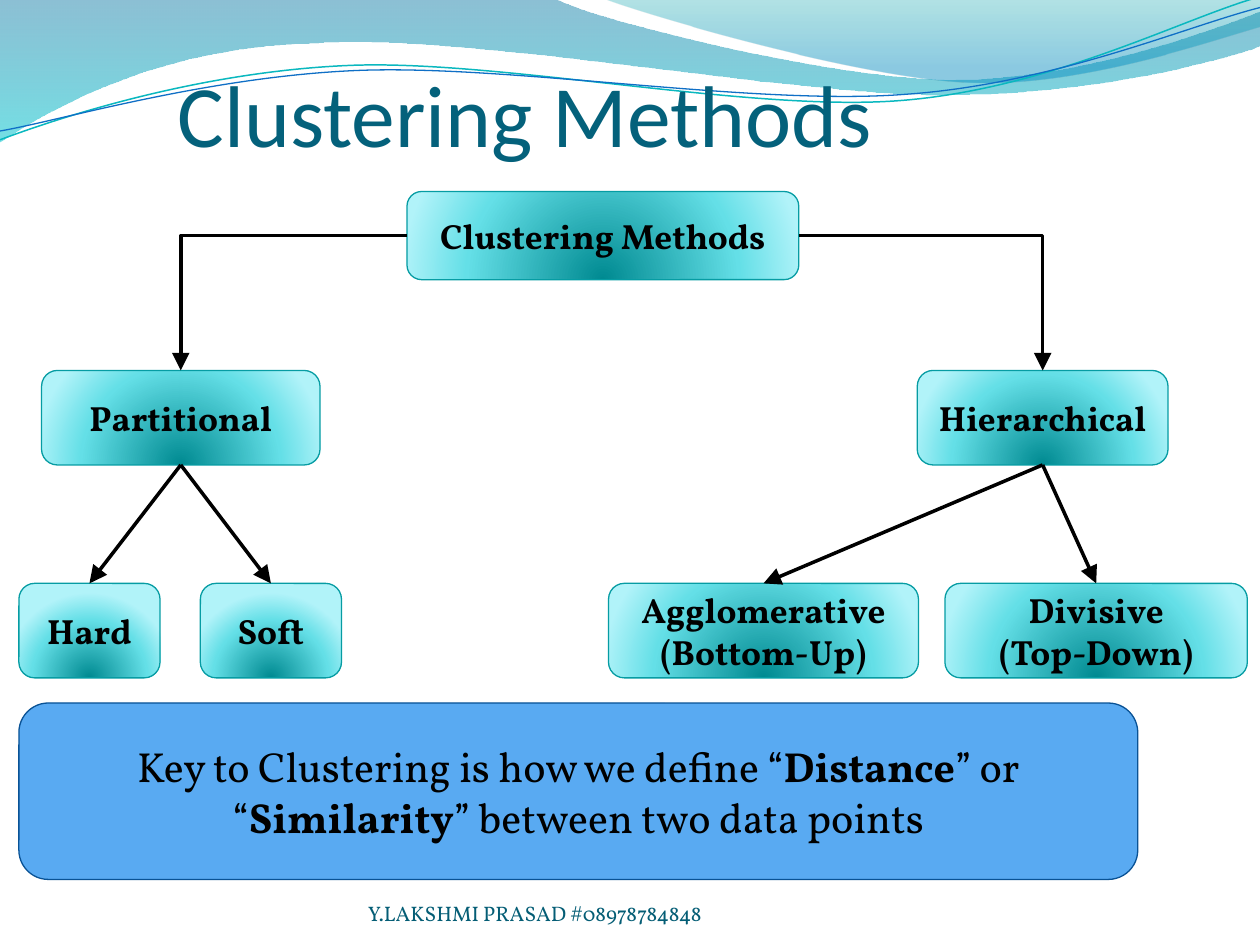
from lxml.etree import SubElement
from pptx import Presentation
from pptx.dml.color import RGBColor
from pptx.enum.shapes import MSO_CONNECTOR as Connector, MSO_SHAPE as Shape
from pptx.enum.text import MSO_ANCHOR as Anchor, PP_ALIGN as Align
from pptx.oxml import parse_xml
from pptx.oxml.ns import nsdecls, qn
from pptx.util import Inches, Pt

TOP, LEFT, BOTTOM, RIGHT = range(4)
RADIAL = '<a:path path="circle"><a:fillToRect l="50000" t="130000" r="50000" b="-30000"/></a:path>'
DOWNWARD = '<a:lin ang="5400000" scaled="0"/>'


def color(hex_string):
    return RGBColor.from_string(hex_string)


def set_gradient(shape, stops, direction):
    """Fill with (position %, colour, opacity %) stops."""
    stop_xml = "".join(
        f'<a:gs pos="{position * 1000}"><a:srgbClr val="{tone}">'
        f'<a:alpha val="{opacity * 1000}"/></a:srgbClr></a:gs>'
        for position, tone, opacity in stops)
    gradient = parse_xml(f'<a:gradFill {nsdecls("a")} rotWithShape="1">'
                         f'<a:gsLst>{stop_xml}</a:gsLst>{direction}</a:gradFill>')
    shape.fill.background()
    properties = shape._element.spPr
    properties.replace(properties.find(qn("a:noFill")), gradient)


class ClusteringSlide:
    font = "Vollkorn"
    ink = "000000"
    box_stops = [(0, "008A91", 100), (68, "64DFE7", 100), (100, "B1F3F9", 100)]

    def __init__(self, slide):
        self.slide = slide
        self.shapes = slide.shapes

    def outline(self, start, segments, close):
        """Join cubic curves (6 numbers) and straight lines (2 numbers)."""
        corners = [(Inches(x), Inches(y))
                   for x, y in [start] + [segment[-2:] for segment in segments]]
        builder = self.shapes.build_freeform(*corners[0])
        builder.add_line_segments(corners[1:], close=close)
        shape = builder.convert_to_shape()
        shape.shadow.inherit = False
        lines = list(shape._element.spPr.iter(qn("a:lnTo")))
        for line, segment in zip(lines, segments):
            if len(segment) == 6:
                line.tag = qn("a:cubicBezTo")
                handles = [SubElement(line, qn("a:pt")) for _ in range(2)]
                for index, handle in enumerate(handles):
                    x, y = segment[2 * index:2 * index + 2]
                    handle.set("x", str(Inches(x) - shape.left))
                    handle.set("y", str(Inches(y) - shape.top))
                line.append(line[0])
        return shape

    def band(self, start, segments, stops):
        shape = self.outline(start, segments, close=True)
        set_gradient(shape, stops, DOWNWARD)
        shape.line.fill.background()

    def wave(self, start, segments, tone, width):
        shape = self.outline(start, segments, close=False)
        shape.fill.background()
        shape.line.color.rgb = color(tone)
        shape.line.width = Pt(width)

    def style_run(self, run, size, tone, bold=False, font=None):
        run.font.name = font or self.font
        run.font.size = Pt(size)
        run.font.bold = bold
        run.font.color.rgb = color(tone)

    def text(self, text, place, size, tone, font=None, top_inset=0):
        frame = self.shapes.add_textbox(*map(Inches, place)).text_frame
        frame.word_wrap = True
        frame.vertical_anchor = Anchor.BOTTOM
        frame.margin_left = frame.margin_right = frame.margin_bottom = 0
        frame.margin_top = Inches(top_inset)
        frame.text = text
        self.style_run(frame.paragraphs[0].runs[0], size, tone, font=font)

    def panel(self, place, line_tone):
        shape = self.shapes.add_shape(Shape.ROUNDED_RECTANGLE, *map(Inches, place))
        shape.shadow.inherit = False
        shape.line.color.rgb = color(line_tone)
        shape.line.width = Pt(0.75)
        shape.text_frame.word_wrap = True
        shape.text_frame.vertical_anchor = Anchor.MIDDLE
        return shape

    def box(self, text, left, top, width, height=0.75):
        shape = self.panel((left, top, width, height), "069CA3")
        set_gradient(shape, self.box_stops, RADIAL)
        shape.text_frame.text = text
        for paragraph in shape.text_frame.paragraphs:
            paragraph.alignment = Align.CENTER
            self.style_run(paragraph.runs[0], 20, self.ink, bold=True)
        return shape

    def note(self, pieces, place):
        """A flat panel whose text is (words, bold) pieces."""
        shape = self.panel(place, "095295")
        shape.fill.solid()
        shape.fill.fore_color.rgb = color("59AAF2")
        paragraph = shape.text_frame.paragraphs[0]
        paragraph.alignment = Align.CENTER
        for words, bold in pieces:
            run = paragraph.add_run()
            run.text = words
            self.style_run(run, 24, self.ink, bold)

    def arrow(self, parent, side, child):
        bent = side != BOTTOM
        kind = Connector.ELBOW if bent else Connector.STRAIGHT
        connector = self.shapes.add_connector(kind, 0, 0, 0, 0)
        connector.begin_connect(parent, side)
        connector.end_connect(child, TOP)
        connector.line.color.rgb = color(self.ink)
        connector.line.width = Pt(2)
        properties = connector._element.spPr
        if bent:
            properties.find(qn("a:prstGeom")).set("prst", "bentConnector2")
        SubElement(properties.find(qn("a:ln")), qn("a:tailEnd"),
                   type="triangle", w="lg", len="lg")
        SubElement(properties, qn("a:effectLst"))


def main():
    presentation = Presentation()
    presentation.slide_width, presentation.slide_height = Inches(10), Inches(7.5)
    page = ClusteringSlide(presentation.slides.add_slide(presentation.slide_layouts[6]))

    page.band((0, 0), [(4.4, -0.01), (4.76, 0.17, 6.64, 0.63, 7.58, 0.63),
                       (8.53, 0.63, 9.58, 0.26, 10, 0.09), (10.01, 0.36),
                       (9.83, 0.44, 8.7, 0.76, 7.46, 0.75),
                       (6.22, 0.75, 3.82, 0.28, 2.57, 0.34),
                       (1.29, 0.36, 0.46, 0.83, -0.01, 1.13)],
              [(0, "0074A1", 45), (100, "00C6CF", 55)])
    page.band((4.79, -0.01), [(5.09, 0.11, 6.82, 0.62, 7.69, 0.65),
                              (8.56, 0.69, 9.61, 0.32, 10, 0.21), (10, 0)],
              [(0, "00A1A9", 30), (80, "008BBF", 45)])
    page.wave((0, 1.11), [(0.48, 0.93, 1.58, 0.57, 2.77, 0.52),
                          (3.95, 0.47, 5.93, 0.89, 7.13, 0.8),
                          (8.33, 0.71, 9.38, 0.15, 9.98, -0.02)], "0AB8BF", 0.85)
    page.wave((0, 1.04), [(0.47, 0.96, 1.64, 0.61, 2.83, 0.56),
                          (4.03, 0.51, 5.97, 0.84, 7.17, 0.75),
                          (8.36, 0.67, 9.41, 0.21, 10, 0.06)], "0F6FC6", 0.75)

    page.text("Clustering Methods", (1.41, 0.31, 7.76, 1), 50, "04617B", "Calibri", 0.05)

    branch_top, leaf_top = 2.94, 4.63
    root = page.box("Clustering Methods", 3.23, 1.52, 3.11, 0.7)
    partitional = page.box("Partitional", 0.33, branch_top, 2.21)
    hierarchical = page.box("Hierarchical", 7.28, branch_top, 1.99)
    leaves = [
        (partitional, "Hard", 0.15, 1.12),
        (partitional, "Soft", 1.59, 1.12),
        (hierarchical, "Agglomerative\n(Bottom-Up)", 4.83, 2.46),
        (hierarchical, "Divisive\n(Top-Down)", 7.5, 2.4),
    ]
    page.arrow(root, LEFT, partitional)
    page.arrow(root, RIGHT, hierarchical)
    for parent, label, left, width in leaves:
        page.arrow(parent, BOTTOM, page.box(label, left, leaf_top, width))

    page.note([("Key to Clustering is how we define “", False), ("Distance", True),
               ("” or “", False), ("Similarity", True),
               ("” between two data points", False)], (0.15, 5.58, 8.88, 1.4))
    page.text("Y.LAKSHMI PRASAD #08978784848", (2.92, 6.95, 3.67, 0.4), 12, "045D75")

    presentation.save("out.pptx")


if __name__ == "__main__":
    main()
